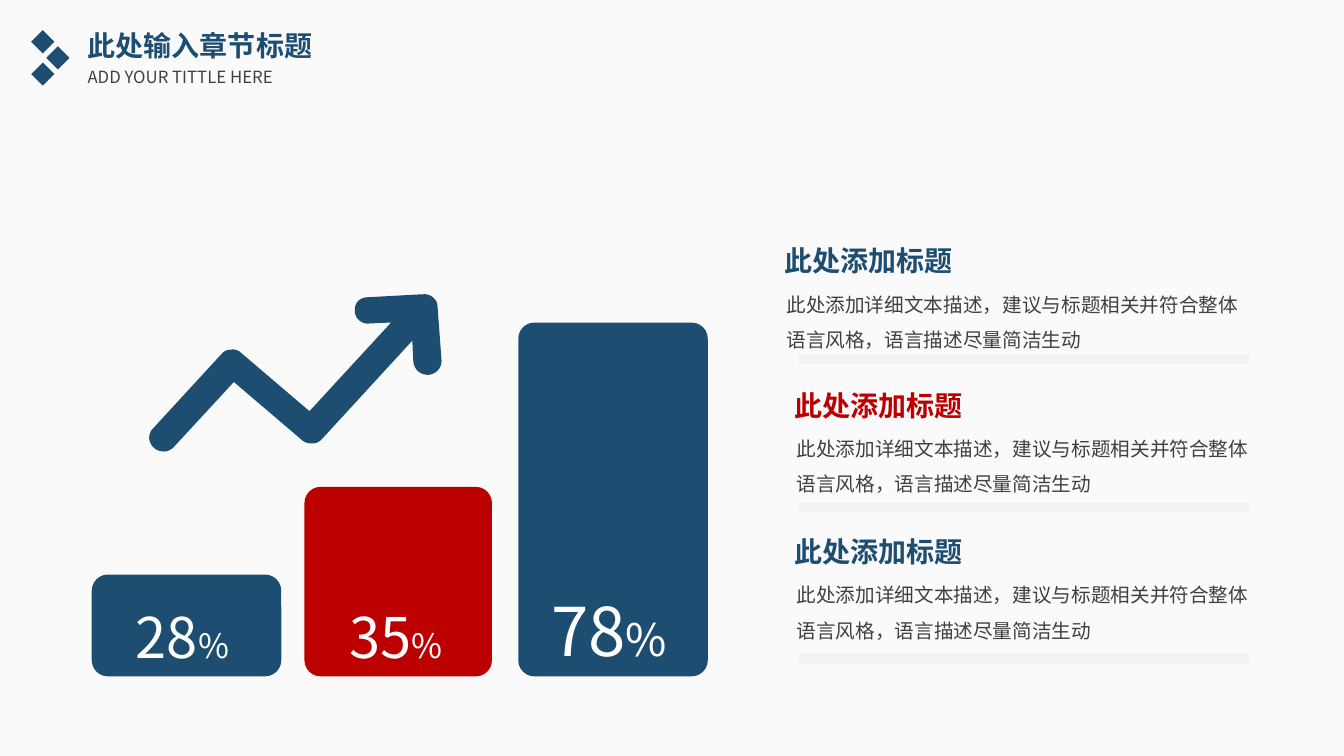
from dataclasses import dataclass

from lxml import etree
from pptx import Presentation
from pptx.dml.color import RGBColor
from pptx.enum.shapes import MSO_SHAPE
from pptx.enum.text import MSO_ANCHOR, MSO_AUTO_SIZE, PP_ALIGN
from pptx.oxml.ns import qn
from pptx.util import Inches, Pt

DIAMOND, RECT, ROUNDED = MSO_SHAPE.DIAMOND, MSO_SHAPE.RECTANGLE, MSO_SHAPE.ROUNDED_RECTANGLE
LEFT, JUSTIFY = PP_ALIGN.LEFT, PP_ALIGN.JUSTIFY
TOP, FIT = MSO_ANCHOR.TOP, MSO_AUTO_SIZE.SHAPE_TO_FIT_TEXT


@dataclass(frozen=True)
class Theme:
    font: str = "Noto Sans CJK SC"
    navy: str = "1D4D71"
    red: str = "BC0000"
    gray: str = "404040"
    rule: str = "F2F2F2"
    white: str = "FFFFFF"
    paper: str = "FAFAFA"
    heading: int = 20
    body: int = 14
    subtitle: int = 12


theme = Theme()


def paint(shape, color):
    shape.shadow.inherit = False
    shape.fill.solid()
    shape.fill.fore_color.rgb = RGBColor.from_string(color)
    shape.line.fill.background()


def write(box, parts, color, bold=False, align=LEFT, wrap=True, insets=(0.1, 0.05)):
    """Fill a box with one paragraph of (text, size) parts."""
    frame = box.text_frame
    frame.word_wrap, frame.auto_size, frame.vertical_anchor = wrap, FIT, TOP
    frame.margin_left = frame.margin_right = Inches(insets[0])
    frame.margin_top = frame.margin_bottom = Inches(insets[1])
    paragraph = frame.paragraphs[0]
    paragraph.alignment = align
    for text, size in parts:
        run = paragraph.add_run()
        run.text = text
        run.font.size, run.font.bold, run.font.name = Pt(size), bold, theme.font
        run.font.color.rgb = RGBColor.from_string(color)
        etree.SubElement(run._r.get_or_add_rPr(), qn("a:ea")).set("typeface", theme.font)
    return paragraph


prs = Presentation()
prs.slide_width, prs.slide_height = Inches(13.33), Inches(7.5)
slide = prs.slides.add_slide(prs.slide_layouts[5])
shapes = slide.shapes
slide.background.fill.solid()
slide.background.fill.fore_color.rgb = RGBColor.from_string(theme.paper)

# Header: diamonds, title and subtitle
for x, y in [(0.31, 0.3), (0.31, 0.62), (0.46, 0.46)]:
    paint(shapes.add_shape(DIAMOND, Inches(x), Inches(y), Inches(0.23), Inches(0.23)), theme.navy)

title = shapes.title
title.left, title.top, title.width, title.height = Inches(0.77), Inches(0.23), Inches(3), Inches(0.44)
write(title, [("此处输入章节标题", theme.heading)], theme.navy, bold=True)
subtitle = shapes.add_textbox(Inches(0.77), Inches(0.61), Inches(2.54), Inches(0.3))
write(subtitle, [("ADD YOUR TITTLE HERE", theme.subtitle)], theme.gray, align=JUSTIFY)

# Bars on a common base, each with its percentage
BASE, CORNER = 6.71, 0.16
bars = [
    # left, top, width, color, value, sizes, label left, top, width, height
    (0.91, 5.7, 1.88, theme.navy, "28", (40, 24), (1.25, 5.93, 1.16, 0.77)),
    (3.02, 4.83, 1.86, theme.red, "35", (40, 24), (3.37, 5.93, 1.16, 0.77)),
    (5.14, 3.2, 1.88, theme.navy, "78", (48, 32), (5.37, 5.8, 1.39, 0.91)),
]
for left, top, width, color, value, sizes, label_place in bars:
    height = BASE - top
    bar = shapes.add_shape(ROUNDED, Inches(left), Inches(top), Inches(width), Inches(height))
    bar.adjustments[0] = CORNER / min(width, height)
    paint(bar, color)
    label = shapes.add_textbox(*map(Inches, label_place))
    write(label, zip((value, "%"), sizes), theme.white, wrap=False)

# Trend arrow: pairs are straight ends, sixes are Bézier corners
outline = [
    (4.25, 3.72),
    (4.17, 3.72, 4.11, 3.67, 4.1, 3.59), (4.09, 3.38), (3.19, 4.36),
    (3.17, 4.38, 3.14, 4.4, 3.1, 4.4), (3.06, 4.4, 3.02, 4.39, 3, 4.37), (2.32, 3.79), (1.72, 4.44),
    (1.7, 4.46, 1.66, 4.48, 1.63, 4.48), (1.55, 4.48, 1.49, 4.43, 1.48, 4.35),
    (1.48, 4.32, 1.49, 4.28, 1.51, 4.26), (2.2, 3.51),
    (2.22, 3.48, 2.26, 3.47, 2.29, 3.47), (2.33, 3.46, 2.37, 3.48, 2.39, 3.5), (3.07, 4.08),
    (3.88, 3.2), (3.66, 3.21),
    (3.59, 3.22, 3.52, 3.16, 3.52, 3.09), (3.51, 3.01, 3.57, 2.95, 3.64, 2.95), (4.19, 2.92),
    (4.27, 2.91, 4.34, 2.97, 4.34, 3.04), (4.38, 3.58),
    (4.38, 3.65, 4.33, 3.71, 4.25, 3.72),
]
STEPS = 8
points = [outline[0]]
for piece in outline[1:]:
    if len(piece) == 2:
        points.append(piece)
        continue
    (x0, y0), (x1, y1, x2, y2, x3, y3) = points[-1], piece
    for step in range(1, STEPS + 1):
        t = step / STEPS
        a, b, c, d = (1 - t) ** 3, 3 * t * (1 - t) ** 2, 3 * t * t * (1 - t), t ** 3
        points.append((a * x0 + b * x1 + c * x2 + d * x3, a * y0 + b * y1 + c * y2 + d * y3))
corners = [(Inches(x), Inches(y)) for x, y in points]
arrow = shapes.build_freeform(*corners[0])
arrow.add_line_segments(corners[1:], close=True)
paint(arrow.convert_to_shape(), theme.navy)

# Descriptions, each closed by a rule
DESCRIPTION = "此处添加详细文本描述，建议与标题相关并符合整体语言风格，语言描述尽量简洁生动"
for left, top, rule_top, color in [
    (7.78, 2.42, 3.52, theme.navy),
    (7.88, 3.85, 4.99, theme.red),
    (7.88, 5.3, 6.49, theme.navy),
]:
    rule = shapes.add_shape(RECT, Inches(7.92), Inches(rule_top), Inches(4.47), Inches(0.09))
    paint(rule, theme.rule)
    heading = shapes.add_textbox(Inches(left), Inches(top), Inches(1.92), Inches(0.34))
    write(heading, [("此处添加标题", theme.heading)], color, bold=True, insets=(0, 0))
    detail = shapes.add_textbox(Inches(left - 0.1), Inches(top + 0.31), Inches(4.89), Inches(0.83))
    write(detail, [(DESCRIPTION, theme.body)], theme.gray, insets=(0.12, 0.06)).line_spacing = 1.5

prs.save("out.pptx")
